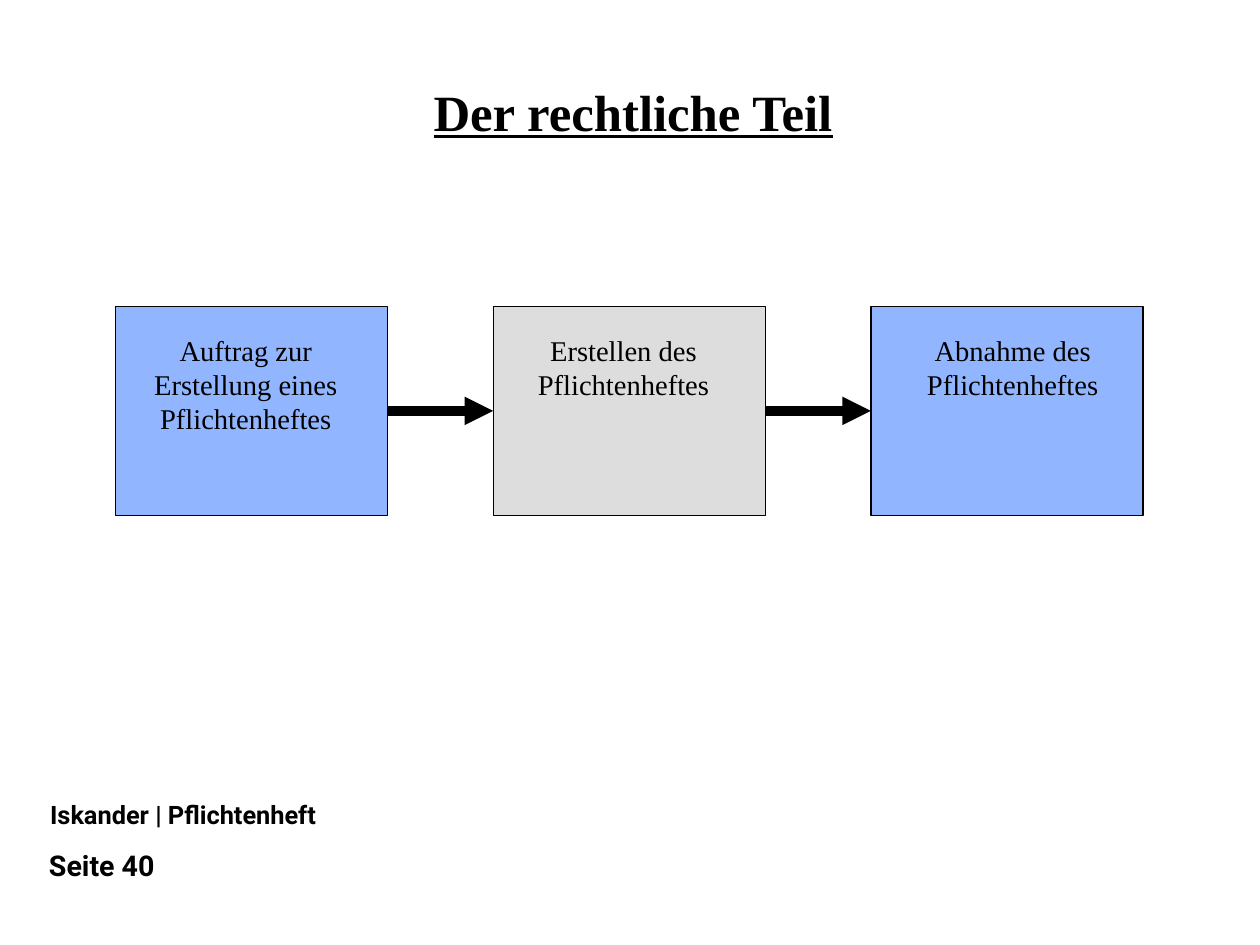
from dataclasses import dataclass
from itertools import pairwise

from lxml.etree import SubElement
from pptx import Presentation
from pptx.dml.color import RGBColor
from pptx.enum.shapes import MSO_CONNECTOR, MSO_SHAPE
from pptx.enum.text import MSO_ANCHOR, MSO_AUTO_SIZE, PP_ALIGN
from pptx.oxml.ns import qn
from pptx.shapes.autoshape import Shape
from pptx.slide import Slide
from pptx.util import Inches, Pt


@dataclass(frozen=True)
class Theme:
    black: RGBColor = RGBColor(0, 0, 0)
    blue: RGBColor = RGBColor(0x91, 0xB6, 0xFF)
    gray: RGBColor = RGBColor(0xDD, 0xDD, 0xDD)
    serif: str = "Times New Roman"
    sans: str = "Roboto"
    title_size: int = 32
    body_size: int = 18
    footer_size: int = 16
    border_width: float = 0.75
    arrow_width: float = 6


THEME = Theme()


@dataclass(frozen=True)
class Box:
    left: float
    top: float
    width: float
    height: float

    def lengths(self) -> tuple[Inches, ...]:
        return tuple(Inches(v) for v in (self.left, self.top, self.width, self.height))


@dataclass(frozen=True)
class Step:
    text: str
    fill: RGBColor
    label_offset: float
    label_height: float


@dataclass(frozen=True)
class Footer:
    text: str
    box: Box
    size: int


CM_PER_INCH = 2.54
SLIDE_WIDTH, SLIDE_HEIGHT = 28 / CM_PER_INCH, 21 / CM_PER_INCH
TITLE_BOX = Box(0.58, 0.7, 9.92, 1.38)
STEPS = (
    Step("Auftrag zur\nErstellung eines\nPflichtenheftes", THEME.blue, 0.18, 1.0),
    Step("Erstellen des\nPflichtenheftes", THEME.gray, 0.18, 0.7),
    Step("Abnahme des\nPflichtenheftes", THEME.blue, 0.28, 0.7),
)
FIRST_LEFT, LAST_LEFT = 1.01, 7.62
STEP_PITCH = (LAST_LEFT - FIRST_LEFT) / (len(STEPS) - 1)
STEP_TOP, STEP_WIDTH, STEP_HEIGHT = 2.68, 2.38, 1.83
LABEL_TOP, LABEL_WIDTH = 2.86, 1.92
FOOTERS = (
    Footer("Iskander | Pflichtenheft", Box(0.34, 6.94, 7.23, 0.37), THEME.footer_size),
    Footer("Seite 40", Box(0.33, 7.37, 3.31, 0.44), THEME.body_size),
)


def write_text(shape: Shape, text: str, alignment: PP_ALIGN, font: dict) -> None:
    """Write one paragraph; newlines become line breaks."""
    frame = shape.text_frame
    frame.word_wrap = True
    frame.auto_size = MSO_AUTO_SIZE.NONE
    frame.vertical_anchor = MSO_ANCHOR.TOP
    paragraph = frame.paragraphs[0]
    paragraph.text = text
    paragraph.alignment = alignment
    for run in paragraph.runs:
        for name, value in font.items():
            setattr(run.font, name, value)
        run.font.color.rgb = THEME.black


def add_title(slide: Slide) -> None:
    title = slide.shapes.title
    title.left, title.top, title.width, title.height = TITLE_BOX.lengths()
    font = {"name": THEME.serif, "size": Pt(THEME.title_size), "bold": True, "underline": True}
    write_text(title, "Der rechtliche Teil", PP_ALIGN.CENTER, font)
    title.text_frame.paragraphs[0].line_spacing = 0.93


def add_footer(slide: Slide, footer: Footer) -> None:
    text_box = slide.shapes.add_textbox(*footer.box.lengths())
    font = {"name": THEME.sans, "size": Pt(footer.size), "bold": True}
    write_text(text_box, footer.text, PP_ALIGN.LEFT, font)


def add_step(slide: Slide, step: Step, left: float) -> Shape:
    box = Box(left, STEP_TOP, STEP_WIDTH, STEP_HEIGHT)
    rectangle = slide.shapes.add_shape(MSO_SHAPE.RECTANGLE, *box.lengths())
    rectangle.shadow.inherit = False
    rectangle.fill.solid()
    rectangle.fill.fore_color.rgb = step.fill
    rectangle.line.color.rgb = THEME.black
    rectangle.line.width = Pt(THEME.border_width)

    label_box = Box(left + step.label_offset, LABEL_TOP, LABEL_WIDTH, step.label_height)
    label = slide.shapes.add_textbox(*label_box.lengths())
    font = {"name": THEME.serif, "size": Pt(THEME.body_size)}
    write_text(label, step.text, PP_ALIGN.CENTER, font)
    return rectangle


def add_arrow(slide: Slide, source: Shape, target: Shape) -> None:
    arrow = slide.shapes.add_connector(MSO_CONNECTOR.STRAIGHT, 0, 0, 0, 0)
    arrow.begin_connect(source, 3)
    arrow.end_connect(target, 1)
    arrow.line.color.rgb = THEME.black
    arrow.line.width = Pt(THEME.arrow_width)
    properties = arrow.line._get_or_add_ln()
    SubElement(properties, qn("a:tailEnd"), type="triangle")
    SubElement(properties.getparent(), qn("a:effectLst"))


def main() -> None:
    presentation = Presentation()
    presentation.slide_width = Inches(SLIDE_WIDTH)
    presentation.slide_height = Inches(SLIDE_HEIGHT)
    slide = presentation.slides.add_slide(presentation.slide_layouts[5])
    add_title(slide)
    rectangles = [
        add_step(slide, step, FIRST_LEFT + index * STEP_PITCH)
        for index, step in enumerate(STEPS)
    ]
    for source, target in pairwise(rectangles):
        add_arrow(slide, source, target)
    for footer in FOOTERS:
        add_footer(slide, footer)
    presentation.save("out.pptx")


if __name__ == "__main__":
    main()
